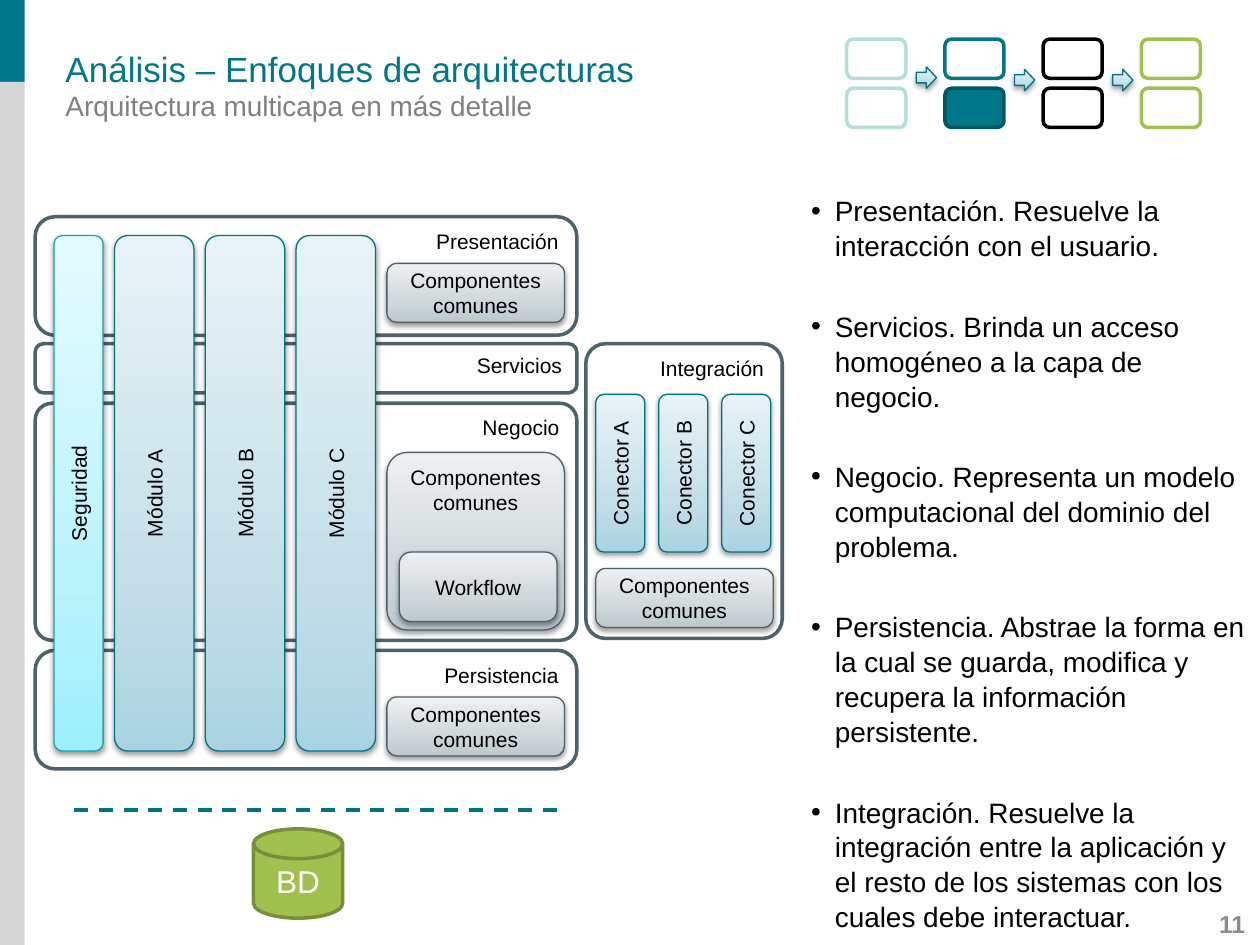
from dataclasses import dataclass
from typing import Optional

from pptx import Presentation
from pptx.dml.color import RGBColor
from pptx.enum.dml import MSO_LINE
from pptx.enum.shapes import MSO_CONNECTOR, MSO_SHAPE as Shape
from pptx.enum.text import MSO_ANCHOR as Anchor, PP_ALIGN as Align
from pptx.oxml import parse_xml
from pptx.oxml.ns import nsdecls, qn
from pptx.util import Cm, Pt

TEAL, GREEN, WHITE, BLACK = "007788", "A1C14E", "FFFFFF", "000000"
NS = nsdecls("a")


@dataclass(frozen=True)
class Style:
    fill: tuple[str, ...]  # one colour, or gradient stops from bottom to top
    line: Optional[str] = None
    width: float = 2


@dataclass(frozen=True)
class Box:
    x: float
    y: float
    w: float
    h: float
    text: str = ""
    adj: Optional[float] = None


LAYER = Style((WHITE,), "4B636A")
SECURITY = Style(("9DEFFD", "BBF3FC", "E4FBFF"), "17A5B2", 0.75)
MODULE = Style(("AAD3E1", "C5DFE9", "E8F3F7"), "007485", 0.75)
COMMON = Style(("BCC8CD", "D0D8DB", "EDF0F2"), "496168", 0.75)

SHARED = "Componentes comunes"
LAYERS = [
    Box(0.71, 6.93, 10.92, 0.99, "Servicios"),
    Box(0.71, 4.37, 10.92, 2.39, "Presentación"),
    Box(0.71, 8.13, 10.92, 4.78, "Negocio", 0.071),
    Box(0.71, 13.11, 10.92, 2.39, "Persistencia"),
    Box(11.81, 6.93, 3.96, 5.94, "Integración", 0.1),
]
COMMONS = [
    Box(7.8, 5.31, 3.58, 1.19, SHARED),
    Box(7.8, 14.05, 3.58, 1.19, SHARED),
    Box(12.01, 11.46, 3.58, 1.19, SHARED),
    Box(8.05, 11.13, 3.18, 1.4, "Workflow"),
]
BULLETS = [
    "Presentación. Resuelve la interacción con el usuario.",
    "Servicios. Brinda un acceso homogéneo a la capa de negocio.",
    "Negocio. Representa un modelo computacional del dominio del problema.",
    "Persistencia. Abstrae la forma en la cual se guarda, modifica y "
    "recupera la información persistente.",
    "Integración. Resuelve la integración entre la aplicación y el resto "
    "de los sistemas con los cuales debe interactuar.",
]


def rgb(value: str) -> RGBColor:
    return RGBColor.from_string(value)


def write(sp, *texts: str, size: float = 12, color: str = BLACK, bold: bool = False,
          align=Align.LEFT, anchor=Anchor.TOP, inset: bool = True,
          vertical: bool = False, bullet: bool = False) -> None:
    tf = sp.text_frame
    tf.word_wrap = True
    tf.vertical_anchor = anchor
    if not inset:
        tf.margin_left = tf.margin_top = tf.margin_right = tf.margin_bottom = 0
    if vertical:
        tf._txBody.bodyPr.set("vert", "vert270")
    for i, text in enumerate(texts):
        p = tf.add_paragraph() if i else tf.paragraphs[0]
        p.alignment = align
        if bullet:
            p.line_spacing = 1.04
            p.space_before = Pt(26 if i else 0)
            pPr = p._p.get_or_add_pPr()
            pPr.set("marL", str(Cm(0.48)))
            pPr.set("indent", str(-Cm(0.48)))
            pPr.append(parse_xml(f'<a:buFont {NS} typeface="Arial"/>'))
            pPr.append(parse_xml(f'<a:buChar {NS} char="•"/>'))
        r = p.add_run()
        r.text = text
        font = r.font
        font.name, font.size, font.bold = "Arial", Pt(size), bold
        font.color.rgb = rgb(color)


def add_text(s, box: Box, *texts: str, **fmt) -> None:
    sp = s.shapes.add_textbox(Cm(box.x), Cm(box.y), Cm(box.w), Cm(box.h))
    write(sp, *texts, **fmt)


def draw(s, box: Box, style: Style, kind=Shape.ROUNDED_RECTANGLE, **fmt) -> None:
    """Add a shape; a gradient style also gets a soft shadow."""
    sp = s.shapes.add_shape(kind, Cm(box.x), Cm(box.y), Cm(box.w), Cm(box.h))
    if box.adj is not None:
        sp.adjustments[0] = box.adj
    sp.shadow.inherit = False
    if len(style.fill) == 1:
        sp.fill.solid()
        sp.fill.fore_color.rgb = rgb(style.fill[0])
    else:
        stops = "".join(
            f'<a:gs pos="{pos}"><a:srgbClr val="{color}"/></a:gs>'
            for pos, color in zip((0, 35000, 100000), style.fill))
        sp._element.spPr.find(qn("a:prstGeom")).addnext(parse_xml(
            f'<a:gradFill {NS} rotWithShape="1"><a:gsLst>{stops}</a:gsLst>'
            '<a:lin ang="16200000" scaled="0"/></a:gradFill>'))
        sp._element.spPr.find(qn("a:effectLst")).append(parse_xml(
            f'<a:outerShdw {NS} blurRad="{Pt(3.1)}" dist="{Pt(1.6)}" dir="5400000" '
            'rotWithShape="0"><a:srgbClr val="000000"><a:alpha val="38000"/>'
            '</a:srgbClr></a:outerShdw>'))
    if style.line:
        sp.line.color.rgb = rgb(style.line)
        sp.line.width = Pt(style.width)
    else:
        sp.line.fill.background()
    if box.text:
        write(sp, box.text, **fmt)


def add_heading(s) -> None:
    title = s.shapes.title
    title.left, title.top, title.width, title.height = Cm(1.32), Cm(0.97), Cm(23.47), Cm(0.81)
    write(title, "Análisis – Enfoques de arquitecturas", size=20, color=TEAL,
          anchor=Anchor.MIDDLE, inset=False)
    add_text(s, Box(1.32, 1.78, 23.47, 0.64), "Arquitectura multicapa en más detalle",
             size=16, color="808080", inset=False)


def add_architecture(s) -> None:
    centred = dict(align=Align.CENTER, anchor=Anchor.MIDDLE)
    for layer in LAYERS:
        draw(s, layer, LAYER, align=Align.RIGHT)
    draw(s, Box(1.09, 4.75, 0.99, 10.39, "Seguridad"), SECURITY, vertical=True, **centred)
    for i, letter in enumerate("ABC"):
        draw(s, Box(2.31 + 1.83 * i, 4.75, 1.6, 10.39, f"Módulo {letter}"), MODULE,
             vertical=True, **centred)
        draw(s, Box(12.01 + 1.27 * i, 7.95, 0.99, 3.18, f"Conector {letter}"), MODULE,
             vertical=True, **centred)
    draw(s, Box(7.8, 9.12, 3.58, 3.58, SHARED, 0.114), COMMON, align=Align.CENTER)
    for common in COMMONS:
        draw(s, common, COMMON, **centred)
    draw(s, Box(5.11, 16.71, 1.8, 1.8, "BD"), Style((GREEN,), "778F3A"),
         Shape.FLOWCHART_MAGNETIC_DISK, size=18, color=WHITE, **centred)

    line = s.shapes.add_connector(MSO_CONNECTOR.STRAIGHT,
                                  Cm(1.5), Cm(16.33), Cm(11.3), Cm(16.33))
    line.line.color.rgb = rgb("007485")
    line.line.width = Pt(2)
    line.line.dash_style = MSO_LINE.DASH
    line._element.spPr.append(parse_xml(f"<a:effectLst {NS}/>"))


def add_tracker(s) -> None:
    """Draw the four stages at the top right, with the current one filled."""
    step = 1.98
    for i, color in enumerate(("B4DEDC", TEAL, BLACK, GREEN)):
        plain = Style((WHITE,), color)
        current = Style((TEAL,), "005865") if color == TEAL else plain
        for y, style in ((0.79, plain), (1.78, current)):
            draw(s, Box(17.07 + step * i, y, 1.19, 0.79), style)
    for i, y in enumerate((1.35, 1.4, 1.4)):
        draw(s, Box(18.47 + step * i, y, 0.41, 0.43), MODULE, Shape.RIGHT_ARROW)


def main() -> None:
    prs = Presentation()
    prs.slide_width, prs.slide_height = Cm(25.4), Cm(19.05)
    s = prs.slides.add_slide(prs.slide_layouts[5])
    draw(s, Box(0, 0, 0.5, 1.65), Style((TEAL,)), Shape.RECTANGLE)
    draw(s, Box(0, 1.65, 0.5, 17.4), Style(("D6D6D6",)), Shape.RECTANGLE)
    add_heading(s)
    add_architecture(s)
    add_text(s, Box(16.1, 3.76, 9.3, 14.35), *BULLETS, size=16, bullet=True)
    add_tracker(s)
    add_text(s, Box(21.21, 18.34, 3.89, 0.58), "11", size=14, color="8C8C8C", bold=True,
             align=Align.RIGHT, anchor=Anchor.MIDDLE, inset=False)
    prs.save("out.pptx")


if __name__ == "__main__":
    main()
